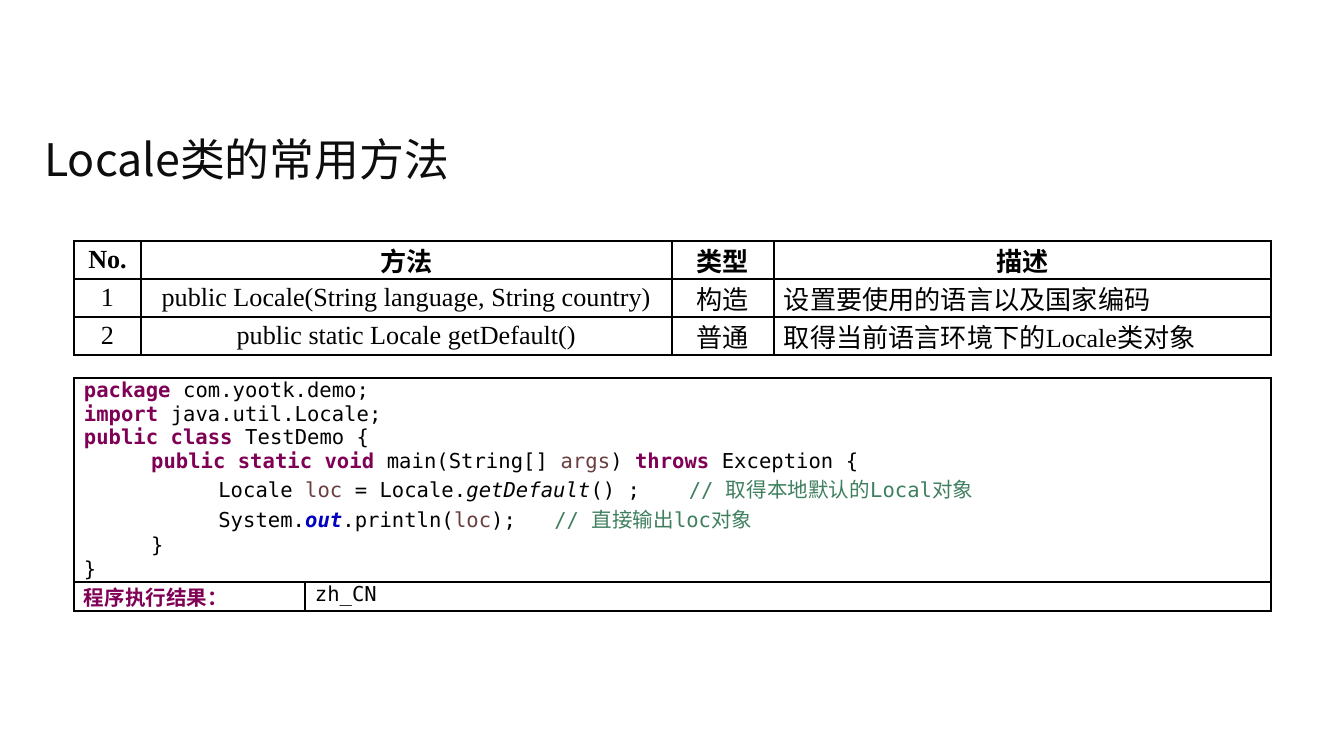
from lxml import etree
from pptx import Presentation
from pptx.dml.color import RGBColor
from pptx.enum.text import MSO_ANCHOR, PP_ALIGN
from pptx.oxml.ns import qn
from pptx.util import Inches, Pt

CENTER, JUSTIFY, LEFT = PP_ALIGN.CENTER, PP_ALIGN.JUSTIFY, PP_ALIGN.LEFT
MIDDLE, TOP = MSO_ANCHOR.MIDDLE, MSO_ANCHOR.TOP
SLIDE_W, SLIDE_H = 1344, 756
SCALE = Inches(10) / SLIDE_W
CJK, SERIF, MONO = "Noto Sans CJK SC", "Times New Roman", "DejaVu Sans Mono"
BLACK = "000000"

PLAIN = (BLACK, False, False)
KEYWORD = ("7F0055", True, False)
VARIABLE = ("6A3E3E", False, False)
METHOD = (BLACK, False, True)
FIELD = ("0000C0", True, True)
COMMENT = ("3F7F5F", False, False)

METHODS = [
    ["No.", "方法", "类型", "描述"],
    ["1", "public Locale(String language, String country)", "构造",
     "设置要使用的语言以及国家编码"],
    ["2", "public static Locale getDefault()", "普通",
     "取得当前语言环境下的Locale类对象"],
]

CODE = [
    [("package", KEYWORD), (" com.yootk.demo;", PLAIN)],
    [("import", KEYWORD), (" java.util.Locale;", PLAIN)],
    [("public class", KEYWORD), (" TestDemo {", PLAIN)],
    [("\t", PLAIN), ("public static void", KEYWORD), (" main(String[] ", PLAIN),
     ("args", VARIABLE), (") ", PLAIN), ("throws", KEYWORD),
     (" Exception {", PLAIN)],
    [("\t\tLocale ", PLAIN), ("loc", VARIABLE), (" = Locale.", PLAIN),
     ("getDefault", METHOD), ("() ;\t", PLAIN),
     ("// 取得本地默认的Local对象", COMMENT)],
    [("\t\tSystem.", PLAIN), ("out", FIELD), (".println(", PLAIN),
     ("loc", VARIABLE), (");\t", PLAIN), ("// 直接输出loc对象", COMMENT)],
    [("\t}", PLAIN)],
    [("}", PLAIN)],
]


def px(length):
    return round(length * SCALE)


def color(value):
    return RGBColor.from_string(value)


def format_run(run, face, size, style):
    ink, bold, italic = style
    run.font.name = face
    run.font.size = Pt(size)
    run.font.bold = bold
    run.font.italic = italic
    run.font.color.rgb = color(ink)
    east_asian = etree.Element(qn("a:ea"), typeface=CJK)
    run.font._element.find(qn("a:latin")).addnext(east_asian)


def write_lines(frame, lines, face, size, align):
    for index, line in enumerate(lines):
        paragraph = frame.paragraphs[0] if index == 0 else frame.add_paragraph()
        paragraph.alignment = align
        for words, style in line:
            run = paragraph.add_run()
            run.text = words
            format_run(run, face, size, style)


def prepare_cell(cell, anchor):
    cell.vertical_anchor = anchor
    cell.margin_left = cell.margin_right = px(10)
    cell.margin_top = cell.margin_bottom = 0
    cell.fill.background()
    properties = cell._tc.get_or_add_tcPr()
    for position, side in enumerate(("lnL", "lnR", "lnT", "lnB")):
        border = etree.Element(qn(f"a:{side}"), w=str(Pt(1)))
        fill = etree.SubElement(border, qn("a:solidFill"))
        etree.SubElement(fill, qn("a:srgbClr"), val=BLACK)
        properties.insert(position, border)


def add_grid(slide, left, top, widths, heights, anchor):
    grid = slide.shapes.add_table(
        len(heights), len(widths), px(left), px(top),
        px(sum(widths)), px(sum(heights))).table
    grid.first_row = grid.horz_banding = False
    for column, width in zip(grid.columns, widths):
        column.width = px(width)
    for row, height in zip(grid.rows, heights):
        row.height = px(height)
    for cell in grid.iter_cells():
        prepare_cell(cell, anchor)
    return grid


def add_title(slide, left, top, width, height):
    title = slide.shapes.add_textbox(px(left), px(top), px(width), px(height))
    frame = title.text_frame
    frame.word_wrap = True
    frame.vertical_anchor = MIDDLE
    heading = [("Locale类的常用方法", ("0D0D0D", False, False))]
    write_lines(frame, [heading], CJK, 24, LEFT)


def add_methods(slide, left, top, width, height):
    fixed = [67, 531, 102]
    widths = fixed + [width - sum(fixed)]
    heights = [height // len(METHODS)] * len(METHODS)
    grid = add_grid(slide, left, top, widths, heights, MIDDLE)
    for r, entries in enumerate(METHODS):
        for c, entry in enumerate(entries):
            align = JUSTIFY if r and c == len(entries) - 1 else CENTER
            style = (BLACK, r == 0, False)
            write_lines(grid.cell(r, c).text_frame, [[(entry, style)]],
                        SERIF, 14, align)


def add_program(slide, left, top, width, height):
    label_width, result_height = 231, 29
    grid = add_grid(slide, left, top, [label_width, width - label_width],
                    [height - result_height, result_height], TOP)
    grid.cell(0, 0).merge(grid.cell(0, 1))
    contents = [
        (0, 0, CODE),
        (1, 0, [[("程序执行结果：", KEYWORD)]]),
        (1, 1, [[("zh_CN", PLAIN)]]),
    ]
    for r, c, lines in contents:
        write_lines(grid.cell(r, c).text_frame, lines, MONO, 11, LEFT)


def main():
    deck = Presentation()
    deck.slide_width, deck.slide_height = px(SLIDE_W), px(SLIDE_H)
    slide = deck.slides.add_slide(deck.slide_layouts[6])
    add_title(slide, 31, 116, 1281, 86)
    add_methods(slide, 74, 241, 1197, 114)
    add_program(slide, 74, 378, 1197, 233)
    deck.save("out.pptx")


if __name__ == "__main__":
    main()
